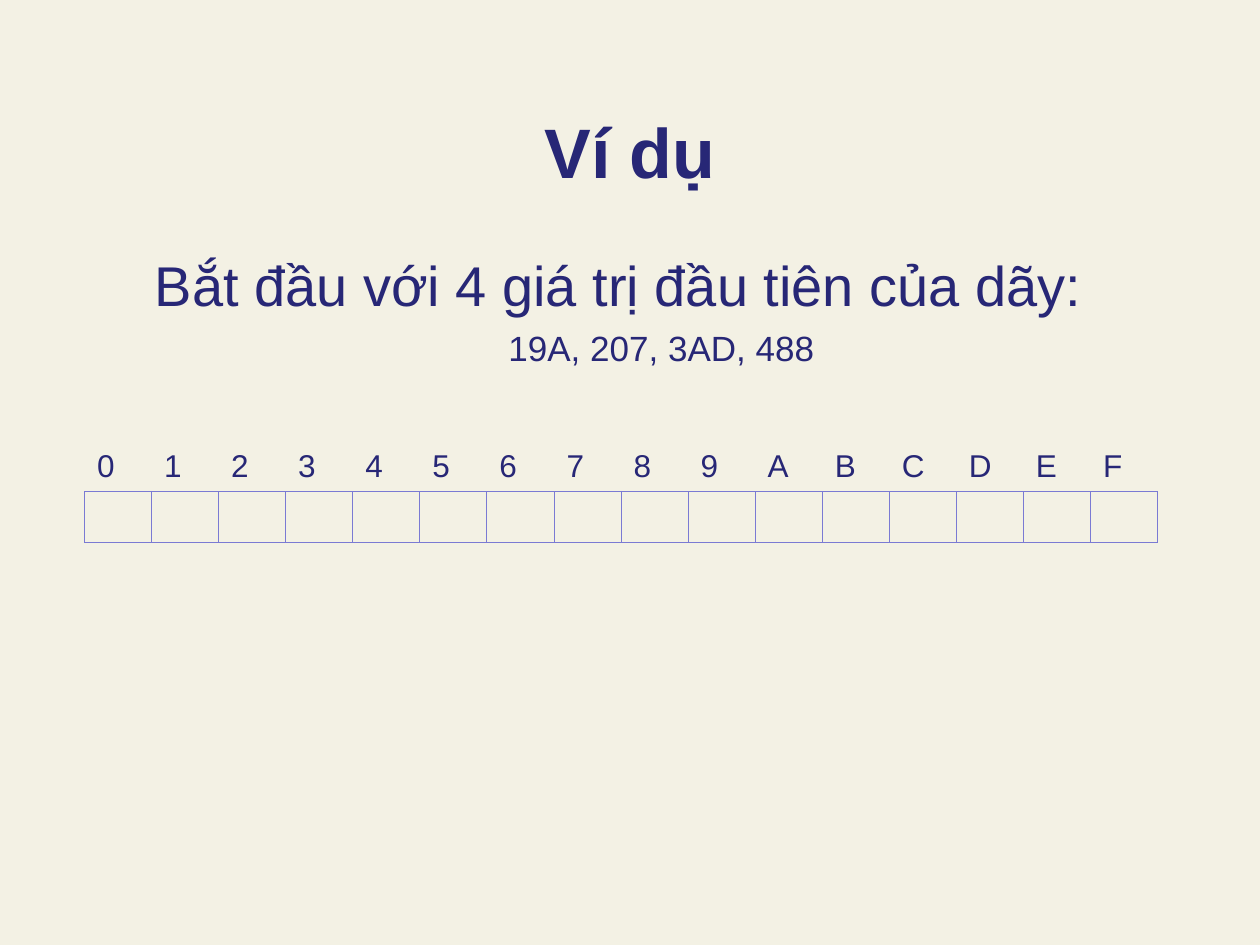
from lxml import etree
from pptx import Presentation
from pptx import util as u
from pptx.dml.color import RGBColor
from pptx.enum import text as t
from pptx.oxml import ns

WIDTH, HEIGHT = 10, 7.5
MARGIN = 0.075 * WIDTH
FONT = "Arial"
PAPER, INK, RULE = "F3F1E4", "272776", "7A7AD3"
HEX_DIGITS = "0123456789ABCDEF"


def colour(value):
    return RGBColor.from_string(value)


def write(paragraph, words, size, bold=False, align=t.PP_ALIGN.LEFT,
          before=0, margin=0, indent=0):
    """Fill a paragraph; margin and indent are in inches, before in points."""
    properties = paragraph._p.get_or_add_pPr()
    properties.set("marL", str(u.Inches(margin)))
    properties.set("indent", str(u.Inches(indent)))
    paragraph.alignment = align
    paragraph.space_before = u.Pt(before)
    run = paragraph.add_run()
    run.text = words
    font = run.font
    font.name, font.size, font.bold = FONT, u.Pt(size), bold
    font.color.rgb = colour(INK)


def add_frame(slide, top, height, anchor=t.MSO_ANCHOR.TOP):
    """Add an empty text box as wide as the slide's margins allow."""
    box = slide.shapes.add_textbox(u.Inches(MARGIN), u.Inches(top),
                                   u.Inches(WIDTH - 2 * MARGIN), u.Inches(height))
    frame = box.text_frame
    frame.word_wrap = True
    frame.vertical_anchor = anchor
    return frame


def set_borders(cell, drawn):
    """Rule the sides named in drawn and hide the others."""
    properties = cell._tc.get_or_add_tcPr()
    for position, side in enumerate("LRTB"):
        line = etree.Element(ns.qn(f"a:ln{side}"), w=str(u.Pt(0.45)))
        if side in drawn:
            fill = etree.SubElement(line, ns.qn("a:solidFill"))
            etree.SubElement(fill, ns.qn("a:srgbClr"), val=RULE)
        else:
            etree.SubElement(line, ns.qn("a:noFill"))
        properties.insert(position, line)


def add_hash_table(slide, left, top, column_width, row_heights):
    """Add the hexadecimal addresses above a row of empty buckets."""
    count = len(HEX_DIGITS)
    table = slide.shapes.add_table(
        len(row_heights), count, u.Inches(left), u.Inches(top),
        u.Inches(column_width * count), u.Inches(sum(row_heights))).table
    table.first_row = table.horz_banding = False
    for row, height in zip(table.rows, row_heights):
        row.height = u.Inches(height)
    for column, digit in enumerate(HEX_DIGITS):
        table.columns[column].width = u.Inches(column_width)
        address, bucket = table.cell(0, column), table.cell(1, column)
        write(address.text_frame.paragraphs[0], digit, 18)
        address.vertical_anchor = t.MSO_ANCHOR.MIDDLE
        for cell, sides in ((address, "B"), (bucket, "LRTB")):
            cell.fill.background()
            set_borders(cell, sides)


def main():
    deck = Presentation()
    deck.slide_width, deck.slide_height = u.Inches(WIDTH), u.Inches(HEIGHT)
    slide = deck.slides.add_slide(deck.slide_layouts[6])
    slide.background.fill.solid()
    slide.background.fill.fore_color.rgb = colour(PAPER)

    title = add_frame(slide, 0.5, 1.08, t.MSO_ANCHOR.BOTTOM)
    write(title.paragraphs[0], "Ví dụ", 40, bold=True, align=t.PP_ALIGN.CENTER)

    body = add_frame(slide, 1.94, 4.67)
    write(body.paragraphs[0], "Bắt đầu với 4 giá trị đầu tiên của dãy:", 32, margin=0.38)
    write(body.add_paragraph(), "19A, 207, 3AD, 488", 20, align=t.PP_ALIGN.CENTER,
          before=5, margin=0.81, indent=-0.31)

    add_hash_table(slide, 0.67, 3.5, 8.52 / len(HEX_DIGITS), (0.3, 0.4))
    deck.save("out.pptx")


if __name__ == "__main__":
    main()
